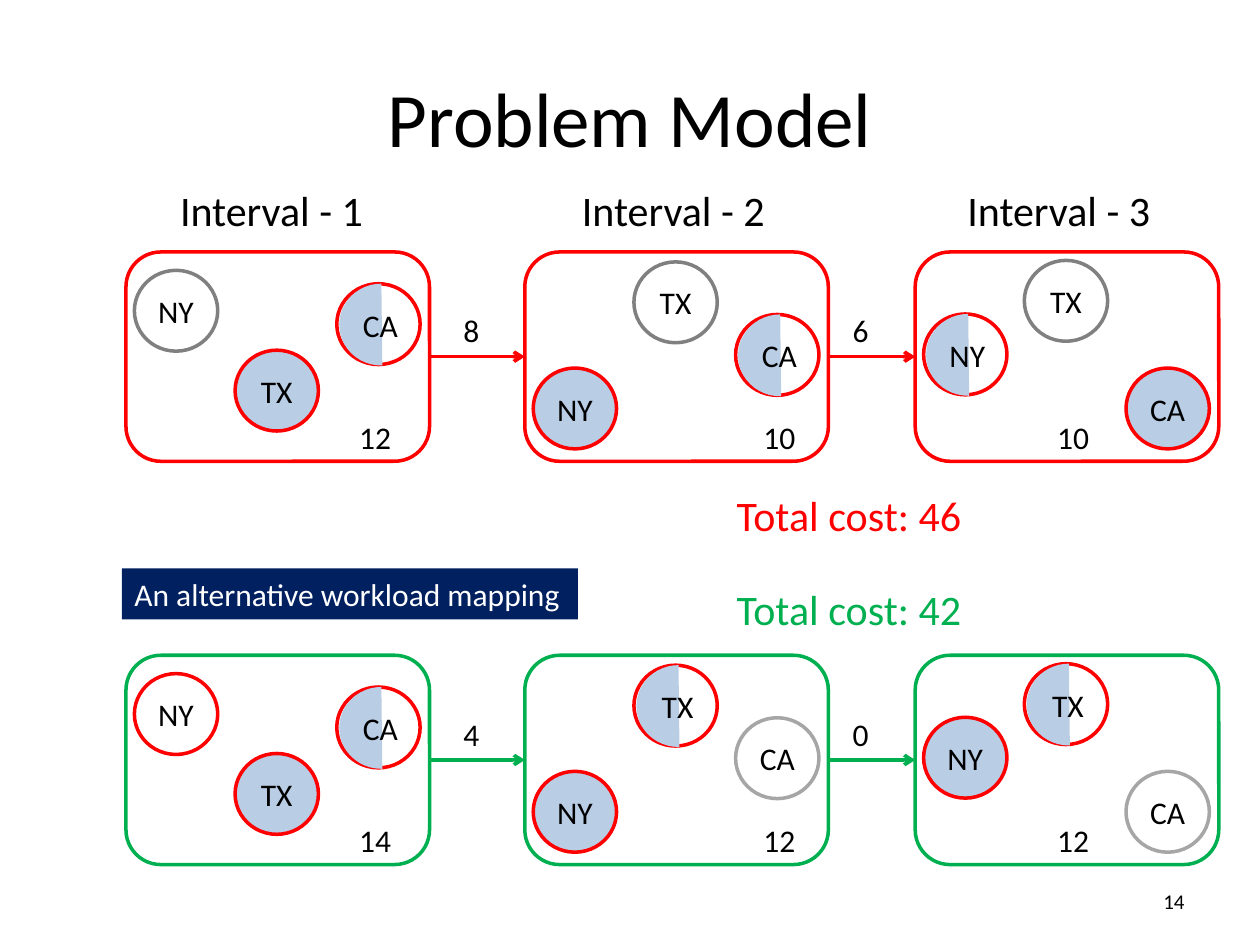
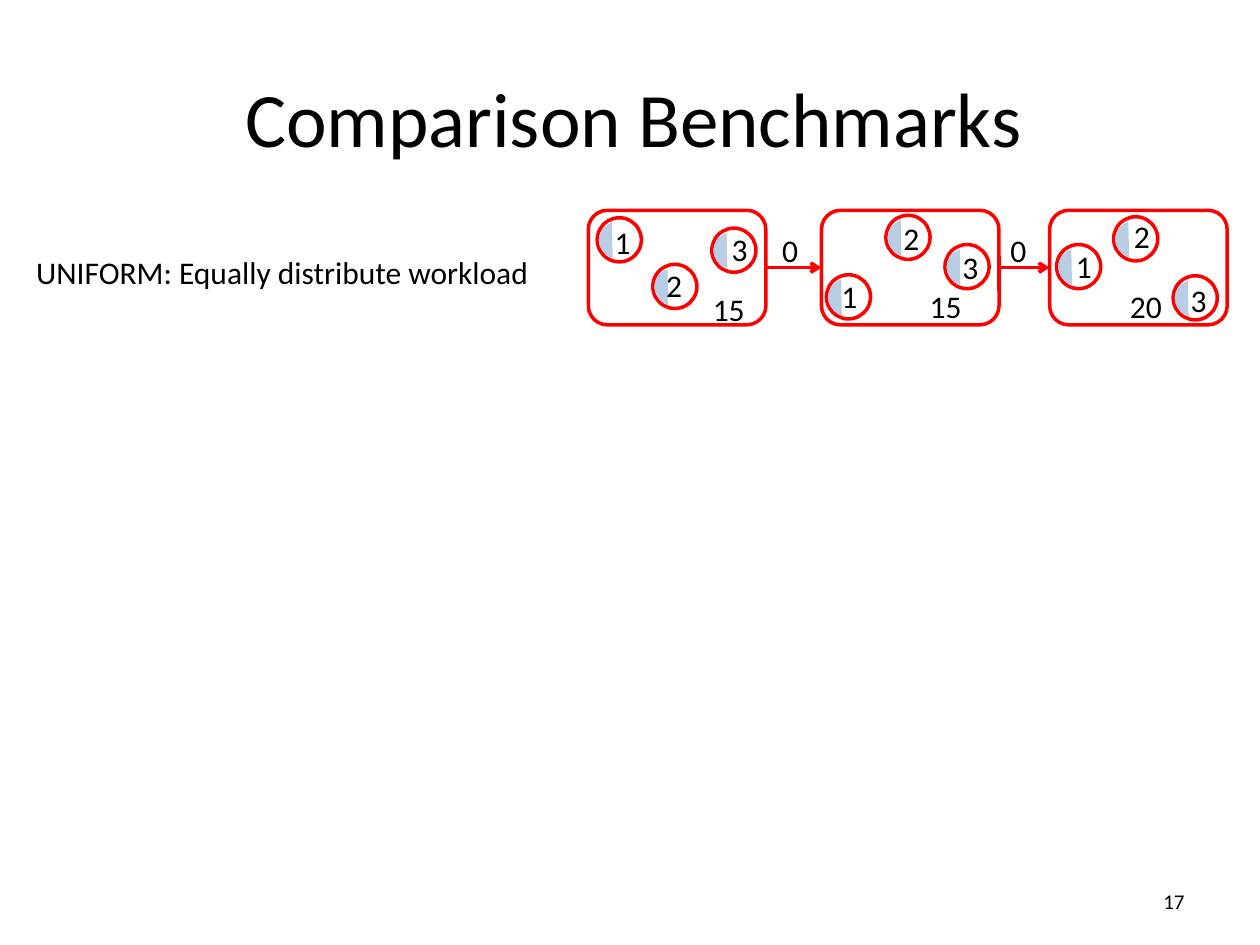
"""Builds two slides on mapping workload to sites over three intervals."""
from lxml import etree
from pptx import Presentation
from pptx import util as u
from pptx.dml import color
from pptx.enum import shapes as kinds, text
from pptx.oxml import ns

FONT = "Calibri"
COLORS = {
    "black": "000000", "white": "FFFFFF", "red": "FF0000", "green": "00B050",
    "gray": "808080", "silver": "A6A6A6", "load": "B9CDE5", "navy": "002060",
}
STATES = {
    "full": ("load", "red"), "half": ("white", "red"), "empty": ("white", "red"),
    "off": ("white", "gray"), "unused": ("white", "silver"),
}
HALF_CHORD = (53.22, 162)
THIRD_CHORD = (72.2, 142.64)

INTERVAL_LEFTS = (2.54, 10.58, 18.45)
INTERVAL_SIZE = (6.12, 4.22)
INTERVAL_LABELS = (3.38, 11.48, 19.25)
SITE_SIZE = (1.68, 1.63)
SITE_PLACES = (
    {"NY": (0.17, 0.37), "TX": (2.2, 1.98), "CA": (4.25, 0.64)},
    {"NY": (0.17, 2.34), "TX": (2.2, 0.2), "CA": (4.25, 1.26)},
    {"NY": (0.17, 1.25), "TX": (2.2, 0.17), "CA": (4.25, 2.34)},
)
COST_LEFTS = (6.99, 15.14, 21.06)
MOVE_LEFTS = (9.09, 16.94)
MAPPINGS = (
    {"top": 5.08, "color": "red", "costs": ("12", "10", "10"), "moves": ("8", "6"),
     "states": ({"NY": "off", "TX": "full", "CA": "half"},
                {"NY": "full", "TX": "off", "CA": "half"},
                {"NY": "half", "TX": "off", "CA": "full"})},
    {"top": 13.21, "color": "green", "costs": ("14", "12", "12"), "moves": ("4", "0"),
     "states": ({"NY": "empty", "TX": "full", "CA": "half"},
                {"NY": "full", "TX": "half", "CA": "unused"},
                {"NY": "full", "TX": "half", "CA": "unused"})},
)

UNIFORM_LEFTS = (11.86, 16.56, 21.16)
UNIFORM_TOP = 4.24
UNIFORM_SIZE = (3.58, 2.31)
UNIFORM_SITES = (
    ("1", (12.04, 4.39), (12.14, 4.37)),
    ("2", (13.16, 5.33), (13.18, 5.23)),
    ("3", (14.35, 4.6), (14.5, 4.5)),
    ("1", (16.66, 5.54), (16.71, 5.46)),
    ("2", (17.86, 4.34), (17.96, 4.29)),
    ("3", (19.05, 4.93), (19.15, 4.88)),
    ("1", (21.3, 4.93), (21.44, 4.85)),
    ("2", (22.45, 4.37), (22.61, 4.24)),
    ("3", (23.65, 5.56), (23.75, 5.54)),
)
UNIFORM_COSTS = (("15", 14.12, 5.72), ("15", 18.49, 5.66), ("20", 22.53, 5.66))
UNIFORM_MOVES = (("0", 15.52, 4.52), ("0", 20.12, 4.52))


def rgb(name):
    return color.RGBColor.from_string(COLORS[name])


def write(holder, words, size=18, ink="black", align="LEFT", anchor="TOP",
          wrap=False, margin=0.25, grow=False):
    frame = holder.text_frame
    frame.word_wrap = wrap
    frame.margin_left = frame.margin_right = u.Cm(margin)
    frame.margin_top = frame.margin_bottom = u.Cm(0.13)
    frame.vertical_anchor = getattr(text.MSO_ANCHOR, anchor)
    frame.auto_size = (text.MSO_AUTO_SIZE.SHAPE_TO_FIT_TEXT if grow
                       else text.MSO_AUTO_SIZE.NONE)
    line = frame.paragraphs[0]
    line.alignment = getattr(text.PP_ALIGN, align)
    run = line.add_run()
    run.text = words
    run.font.name = FONT
    run.font.size = u.Pt(size)
    run.font.color.rgb = rgb(ink)


def add_label(canvas, words, left, top, width, height=1.03, **style):
    box = canvas.add_textbox(u.Cm(left), u.Cm(top), u.Cm(width), u.Cm(height))
    write(box, words, **{"grow": True, **style})


def add_figure(canvas, kind, left, top, size, fill=None, outline=None):
    width, height = size
    figure = canvas.add_shape(getattr(kinds.MSO_SHAPE, kind),
                              u.Cm(left), u.Cm(top), u.Cm(width), u.Cm(height))
    figure.shadow.inherit = False
    if fill:
        figure.fill.solid()
        figure.fill.fore_color.rgb = rgb(fill)
    else:
        figure.fill.background()
    if outline:
        figure.line.color.rgb = rgb(outline)
        figure.line.width = u.Pt(2)
    else:
        figure.line.fill.background()
    return figure


def add_share(canvas, left, top, size, angles):
    share = add_figure(canvas, "CHORD", left, top, size, fill="load")
    share.adjustments[0], share.adjustments[1] = angles


def add_arrow(canvas, start, end, y, ink):
    arrow = canvas.add_connector(kinds.MSO_CONNECTOR.STRAIGHT,
                                 u.Cm(start), u.Cm(y), u.Cm(end), u.Cm(y))
    arrow.line.color.rgb = rgb(ink)
    arrow.line.width = u.Pt(2)
    properties = arrow._element.spPr
    outline = properties.find(ns.qn("a:ln"))
    etree.SubElement(outline, ns.qn("a:tailEnd"), type="arrow")
    etree.SubElement(properties, ns.qn("a:effectLst"))


def add_intervals(canvas, lefts, top, size, ink):
    width, height = size
    for left in lefts:
        add_figure(canvas, "ROUNDED_RECTANGLE", left, top, size, outline=ink)
    for left, following in zip(lefts, lefts[1:]):
        add_arrow(canvas, left + width, following, top + height / 2, ink)


def add_site(canvas, name, left, top, state):
    fill, outline = STATES[state]
    site = add_figure(canvas, "OVAL", left, top, SITE_SIZE, fill, outline)
    if state == "half":
        add_share(canvas, left + 0.05, top, (1.7, 1.65), HALF_CHORD)
        add_label(canvas, name, left + 0.27, top + 0.31, 1.22, align="CENTER")
    else:
        write(site, name, align="CENTER", anchor="MIDDLE", margin=0.13)


def add_mapping(canvas, mapping):
    top = mapping["top"]
    add_intervals(canvas, INTERVAL_LEFTS, top, INTERVAL_SIZE, mapping["color"])
    for left, places, states in zip(INTERVAL_LEFTS, SITE_PLACES, mapping["states"]):
        for name, (dx, dy) in places.items():
            add_site(canvas, name, left + dx, top + dy, states[name])
    for cost, left in zip(mapping["costs"], COST_LEFTS):
        add_label(canvas, cost, left, top + 3.21, 1.17)
    for move, left in zip(mapping["moves"], MOVE_LEFTS):
        add_label(canvas, move, left, top + 1.07, 0.84)


def add_uniform_mapping(canvas):
    add_intervals(canvas, UNIFORM_LEFTS, UNIFORM_TOP, UNIFORM_SIZE, "red")
    for name, (left, top), (label_left, label_top) in UNIFORM_SITES:
        add_figure(canvas, "OVAL", left, top, (0.89, 0.89), outline="red")
        add_share(canvas, left + 0.03, top + 0.05, (0.99, 0.81), THIRD_CHORD)
        add_label(canvas, name, label_left, label_top, 0.84)
    for cost, left, top in UNIFORM_COSTS:
        add_label(canvas, cost, left, top, 1.17)
    for move, left, top in UNIFORM_MOVES:
        add_label(canvas, move, left, top, 0.84)


def add_slide(deck, heading, number, left=1.27):
    slide = deck.slides.add_slide(deck.slide_layouts.get_by_name("Title Only"))
    title = slide.shapes.title
    title.left, title.top = u.Cm(left), u.Cm(0.76)
    title.width, title.height = u.Cm(22.86), u.Cm(3.18)
    write(title, heading, size=44, align="CENTER", anchor="MIDDLE", wrap=True)
    add_label(slide.shapes, number, 18.2, 17.66, 5.93, size=12, align="RIGHT",
              anchor="MIDDLE", wrap=True, grow=False)
    return slide.shapes


def add_problem_model(deck):
    canvas = add_slide(deck, "Problem Model", "14")
    for number, left in enumerate(INTERVAL_LABELS, 1):
        add_label(canvas, f"Interval - {number}", left, 3.59, 4.24, 1.28, size=24)
    for mapping in MAPPINGS:
        add_mapping(canvas, mapping)
    add_label(canvas, "Total cost: 46", 14.6, 9.73, 5.08, 1.28, size=24, ink="red")
    add_label(canvas, "Total cost: 42", 14.6, 11.63, 5.08, 1.28, size=24, ink="green")
    banner = add_figure(canvas, "RECTANGLE", 2.46, 11.46, (9.19, 1.03), fill="navy")
    write(banner, "An alternative workload mapping", ink="white", grow=True)


def add_benchmarks(deck):
    canvas = add_slide(deck, "Comparison Benchmarks", "17", left=1.35)
    add_label(canvas, "UNIFORM: Equally distribute workload", 0.48, 4.98, 10.54)
    add_uniform_mapping(canvas.add_group_shape().shapes)


def main():
    deck = Presentation()
    deck.slide_width, deck.slide_height = u.Cm(25.4), u.Cm(19.05)
    add_problem_model(deck)
    add_benchmarks(deck)
    deck.save("out.pptx")


if __name__ == "__main__":
    main()
